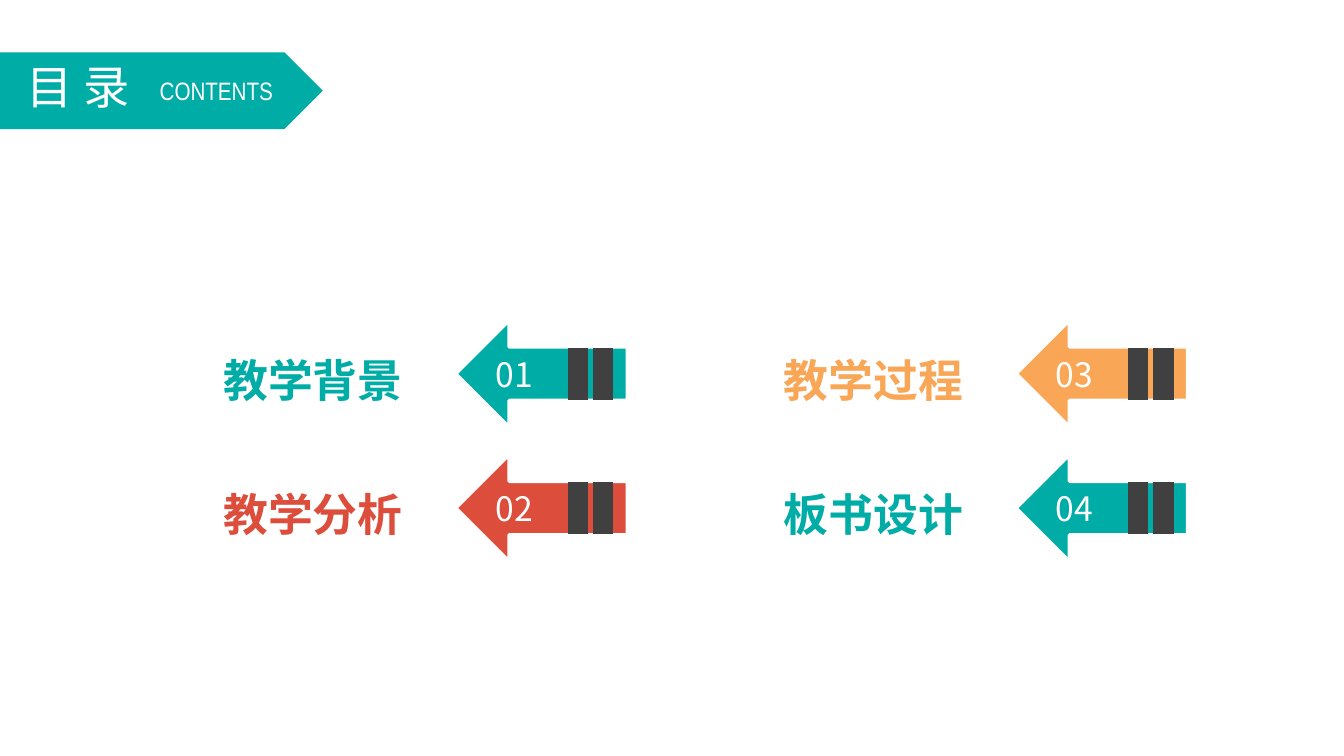
from lxml.etree import SubElement
from pptx import Presentation
from pptx.dml.color import RGBColor
from pptx.enum.shapes import MSO_CONNECTOR as Connector, MSO_SHAPE as Shape
from pptx.enum.text import MSO_ANCHOR as Anchor, MSO_AUTO_SIZE as AutoSize, PP_ALIGN as Align
from pptx.oxml.ns import qn
from pptx.util import Cm, Pt

TEAL = RGBColor(0x00, 0xAC, 0xA6)
RED = RGBColor(0xDD, 0x4D, 0x3B)
ORANGE = RGBColor(0xF9, 0xA6, 0x56)
WHITE = RGBColor(0xFF, 0xFF, 0xFF)
GREY = RGBColor(0x40, 0x40, 0x40)
CJK_FONT = "Noto Sans CJK SC"

TITLE, SUBTITLE = "目 录", "CONTENTS"
CHAPTERS = [
    ("01", "教学背景", TEAL),
    ("02", "教学分析", RED),
    ("03", "教学过程", ORANGE),
    ("04", "板书设计", TEAL),
]

ROWS = 2
FIRST_LEFT, FIRST_TOP = 8.61, 6.05
COLUMN_PITCH, ROW_PITCH = 10.59, 2.54
ARROW_SIZE = 3.25, 2.03
STRIPE_OFFSETS = 2.79, 2.31
STRIPE_TOP, STRIPE_BOTTOM = 0.53, 1.51


def write(shape, text, size, color, font=CJK_FONT, bold=False,
          align=Align.LEFT, anchor=Anchor.TOP, insets=(0.25, 0.13), wrap=True):
    frame = shape.text_frame
    frame.auto_size, frame.word_wrap = AutoSize.NONE, wrap
    frame.vertical_anchor = anchor
    frame.margin_left = frame.margin_right = Cm(insets[0])
    frame.margin_top = frame.margin_bottom = Cm(insets[1])
    para = frame.paragraphs[0]
    para.alignment = align
    span = para.add_run()
    span.text = text
    span.font.size, span.font.bold, span.font.name = Pt(size), bold, font
    span.font.color.rgb = color
    SubElement(span.font._element, qn("a:ea"), typeface=CJK_FONT)


def add_box(shapes, left, top, width, height):
    return shapes.add_textbox(Cm(left), Cm(top), Cm(width), Cm(height))


def add_block(shapes, kind, left, top, width, height, color):
    block = shapes.add_shape(kind, Cm(left), Cm(top), Cm(width), Cm(height))
    block.shadow.inherit = False
    block.fill.solid()
    block.fill.fore_color.rgb = color
    block.line.fill.background()
    return block


def add_pencil(slide, left, top, number, color):
    """Group a left-pointing numbered arrow with its two dark stripes."""
    group = slide.shapes.add_group_shape()
    arrow = add_block(group.shapes, Shape.RIGHT_ARROW, left, top, *ARROW_SIZE, color)
    arrow._element.spPr.xfrm.set("flipH", "1")
    arrow.line.color.rgb, arrow.line.width = WHITE, Pt(2)
    write(arrow, number, 18, WHITE, anchor=Anchor.MIDDLE)
    for offset in STRIPE_OFFSETS:
        x = Cm(left + offset)
        stripe = group.shapes.add_connector(
            Connector.STRAIGHT, x, Cm(top + STRIPE_TOP), x, Cm(top + STRIPE_BOTTOM))
        stripe.line.color.rgb, stripe.line.width = GREY, Pt(11)
        SubElement(stripe._element.spPr, qn("a:effectLst"))


def add_header(slide):
    add_block(slide.shapes, Shape.PENTAGON, 0, 0.99, 6.1, 1.45, TEAL)
    title = slide.shapes.title
    title.left, title.top, title.width, title.height = Cm(0.25), Cm(1.02), Cm(2.46), Cm(1.2)
    write(title, TITLE, 24.8, WHITE, align=Align.CENTER, insets=(0.15, 0.08), wrap=False)
    slide.shapes._spTree.append(title._element)  # in front of the banner
    subtitle = add_box(slide.shapes, 2.87, 1.35, 2.92, 0.71)
    write(subtitle, SUBTITLE, 13.5, WHITE, font="Arial Narrow", insets=(0.15, 0.08))


def main():
    deck = Presentation()
    deck.slide_width, deck.slide_height = Cm(25.4), Cm(14.29)
    page = deck.slides.add_slide(deck.slide_layouts[5])
    for index, (number, name, color) in enumerate(CHAPTERS):
        column, row = divmod(index, ROWS)
        left = FIRST_LEFT + column * COLUMN_PITCH
        top = FIRST_TOP + row * ROW_PITCH
        add_pencil(page, left, top, number, color)
        label = add_box(page.shapes, left - 5.21, top + 0.51, 4.39, 1.22)
        write(label, name, 24, color, font="Calibri", bold=True,
              align=Align.RIGHT, insets=(0.18, 0.1))
    add_header(page)
    deck.save("out.pptx")


if __name__ == "__main__":
    main()
